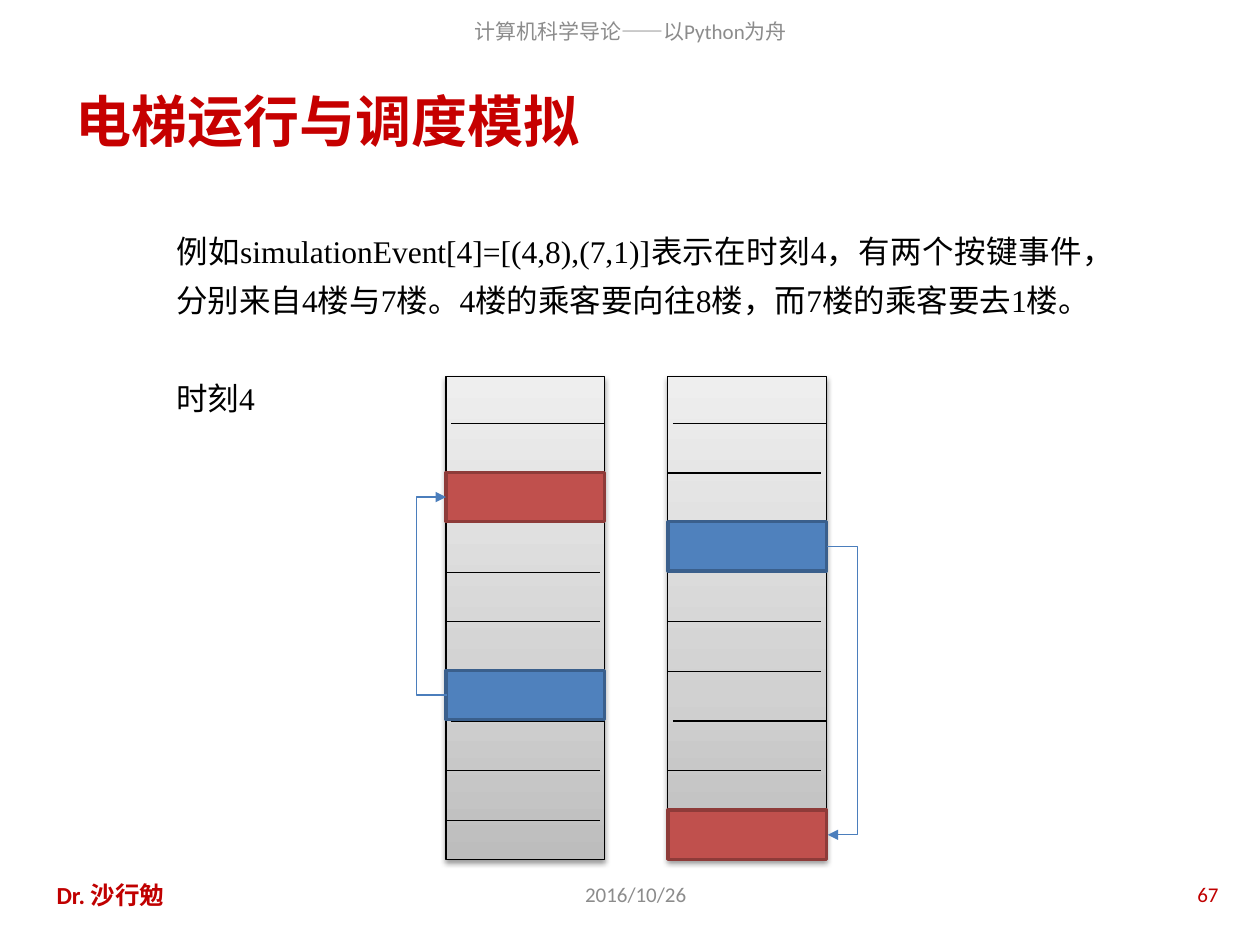
from copy import deepcopy
from dataclasses import dataclass

from lxml import etree
from pptx import Presentation
from pptx import util as u
from pptx.dml import color
from pptx.enum import shapes, text
from pptx.oxml import ns, parse_xml

TOWER_WIDTH, TOWER_TOP, TOWER_HEIGHT = 1.26, 2.99, 3.83
FIRST_LINE, LAST_LINE, LINE_COUNT = 3.36, 6.51, 9
LINE_INSET = 0.04
SHIFTED_LINES = (0, 2, 6)
CAR_HEIGHT = 0.39
TOWER_STOPS = ((0, "BDBDBD"), (0.35, "D1D1D1"), (1, "EEEEEE"))
BLUE, BLUE_EDGE = "4F81BD", "3A5F8C"
RED, RED_EDGE = "C0504D", "8E3B39"


@dataclass
class Label:
    words: str
    left: float
    top: float
    width: float
    height: float
    size: int
    ink: str
    font: str = "Calibri"
    bold: bool = False
    align: text.PP_ALIGN = text.PP_ALIGN.LEFT
    anchor: text.MSO_ANCHOR = text.MSO_ANCHOR.MIDDLE
    spacing: float = 1.0


@dataclass
class Trip:
    tower_left: float
    origin_top: float
    target_top: float
    leftward: bool


LABELS = (
    Label("计算机科学导论——以Python为舟", 1.54, 0.05, 6.93, 0.39, 12, "8C8C8C",
          align=text.PP_ALIGN.CENTER),
    Label("2016/10/26", 3.35, 6.9, 3.39, 0.4, 12, "8C8C8C", align=text.PP_ALIGN.CENTER),
    Label("Dr. 沙行勉", 0.35, 6.9, 2.21, 0.4, 14, "C00000", bold=True),
    Label("67", 7.44, 6.9, 2.33, 0.4, 12, "C00000", align=text.PP_ALIGN.RIGHT),
    Label("电梯运行与调度模拟", 0.5, 0.6, 9, 0.7, 32, "C60000", bold=True),
    Label("例如simulationEvent[4]=[(4,8),(7,1)]表示在时刻4，有两个按键事件，"
          "分别来自4楼与7楼。4楼的乘客要向往8楼，而7楼的乘客要去1楼。",
          1.3, 1.7, 7.64, 0.89, 18, "000000", "Times New Roman",
          align=text.PP_ALIGN.JUSTIFY, anchor=text.MSO_ANCHOR.TOP, spacing=1.3),
    Label("时刻4", 1.3, 2.96, 0.83, 0.4, 18, "000000", "Times New Roman",
          anchor=text.MSO_ANCHOR.TOP),
)
TRIPS = (Trip(3.54, 5.32, 3.75, True), Trip(5.3, 4.14, 6.43, False))


def rgb(code: str) -> color.RGBColor:
    return color.RGBColor.from_string(code)


def add_label(slide, label: Label) -> None:
    box = slide.shapes.add_textbox(u.Inches(label.left), u.Inches(label.top),
                                   u.Inches(label.width), u.Inches(label.height))
    frame = box.text_frame
    frame.word_wrap = True
    frame.vertical_anchor = label.anchor
    paragraph = frame.paragraphs[0]
    paragraph.alignment = label.align
    paragraph.line_spacing = label.spacing
    run = paragraph.add_run()
    run.text = label.words
    run.font.name = label.font
    run.font.size = u.Pt(label.size)
    run.font.bold = label.bold
    run.font.color.rgb = rgb(label.ink)


def add_box(parent, left: float, top: float, height: float, edge: str, weight: float):
    box = parent.shapes.add_shape(shapes.MSO_SHAPE.RECTANGLE, u.Inches(left), u.Inches(top),
                                  u.Inches(TOWER_WIDTH), u.Inches(height))
    box.shadow.inherit = False
    box.line.color.rgb = rgb(edge)
    box.line.width = u.Pt(weight)
    return box


def add_line(parent, kind: shapes.MSO_CONNECTOR, start: tuple[float, float],
             end: tuple[float, float], ink: str):
    line = parent.shapes.add_connector(kind, *map(u.Inches, start + end))
    line.line.color.rgb = rgb(ink)
    line.line.width = u.Pt(0.75)
    etree.SubElement(line._element.spPr, ns.qn("a:effectLst"))
    return line


def add_tower(slide, left: float) -> None:
    tower = slide.shapes.add_group_shape()
    shaft = add_box(tower, left, TOWER_TOP, TOWER_HEIGHT, "000000", 0.75)
    shaft.fill.gradient()
    shaft.fill.gradient_angle = 90
    stop_list = shaft._element.spPr.find(".//" + ns.qn("a:gsLst"))
    stop_list.append(deepcopy(stop_list[0]))
    for stop, (position, shade) in zip(shaft.fill.gradient_stops, TOWER_STOPS):
        stop.position = position
        stop.color.rgb = rgb(shade)
    shaft._element.spPr.find(ns.qn("a:effectLst")).append(parse_xml(
        f'<a:outerShdw {ns.nsdecls("a")} blurRad="{u.Pt(3.1)}" dist="{u.Pt(1.6)}" '
        'dir="5400000" rotWithShape="0"><a:srgbClr val="000000">'
        '<a:alpha val="38000"/></a:srgbClr></a:outerShdw>'))
    step = (LAST_LINE - FIRST_LINE) / (LINE_COUNT - 1)
    for index in range(LINE_COUNT):
        start = left + (LINE_INSET if index in SHIFTED_LINES else 0)
        height = FIRST_LINE + index * step
        add_line(tower, shapes.MSO_CONNECTOR.STRAIGHT, (start, height),
                 (start + TOWER_WIDTH - LINE_INSET, height), "000000")


def add_car(slide, left: float, top: float, fill: str, edge: str) -> None:
    car = add_box(slide, left, top, CAR_HEIGHT, edge, 2)
    car.fill.solid()
    car.fill.fore_color.rgb = rgb(fill)


def add_route(slide, trip: Trip) -> None:
    side = trip.tower_left + (0 if trip.leftward else TOWER_WIDTH)
    upper, lower = sorted(top + CAR_HEIGHT / 2 for top in (trip.origin_top, trip.target_top))
    route = add_line(slide, shapes.MSO_CONNECTOR.ELBOW, (side, upper),
                     (side + 0.01, lower), "4B7EBC")
    properties = route._element.spPr
    if trip.leftward:
        properties.find(ns.qn("a:xfrm")).set("rot", "10800000")
    guides = properties.find(ns.qn("a:prstGeom")).get_or_add_avLst()
    etree.SubElement(guides, ns.qn("a:gd"), name="adj1", fmla="val 2500000")
    etree.SubElement(route.line._get_or_add_ln(), ns.qn("a:tailEnd"), type="triangle")


def main() -> None:
    deck = Presentation()
    deck.slide_width, deck.slide_height = u.Inches(10), u.Inches(7.5)
    slide = deck.slides.add_slide(deck.slide_layouts[6])
    for label in LABELS:
        add_label(slide, label)
    for trip in TRIPS:
        add_tower(slide, trip.tower_left)
        add_car(slide, trip.tower_left, trip.origin_top, BLUE, BLUE_EDGE)
        add_car(slide, trip.tower_left, trip.target_top, RED, RED_EDGE)
        add_route(slide, trip)
    deck.save("out.pptx")


if __name__ == "__main__":
    main()
